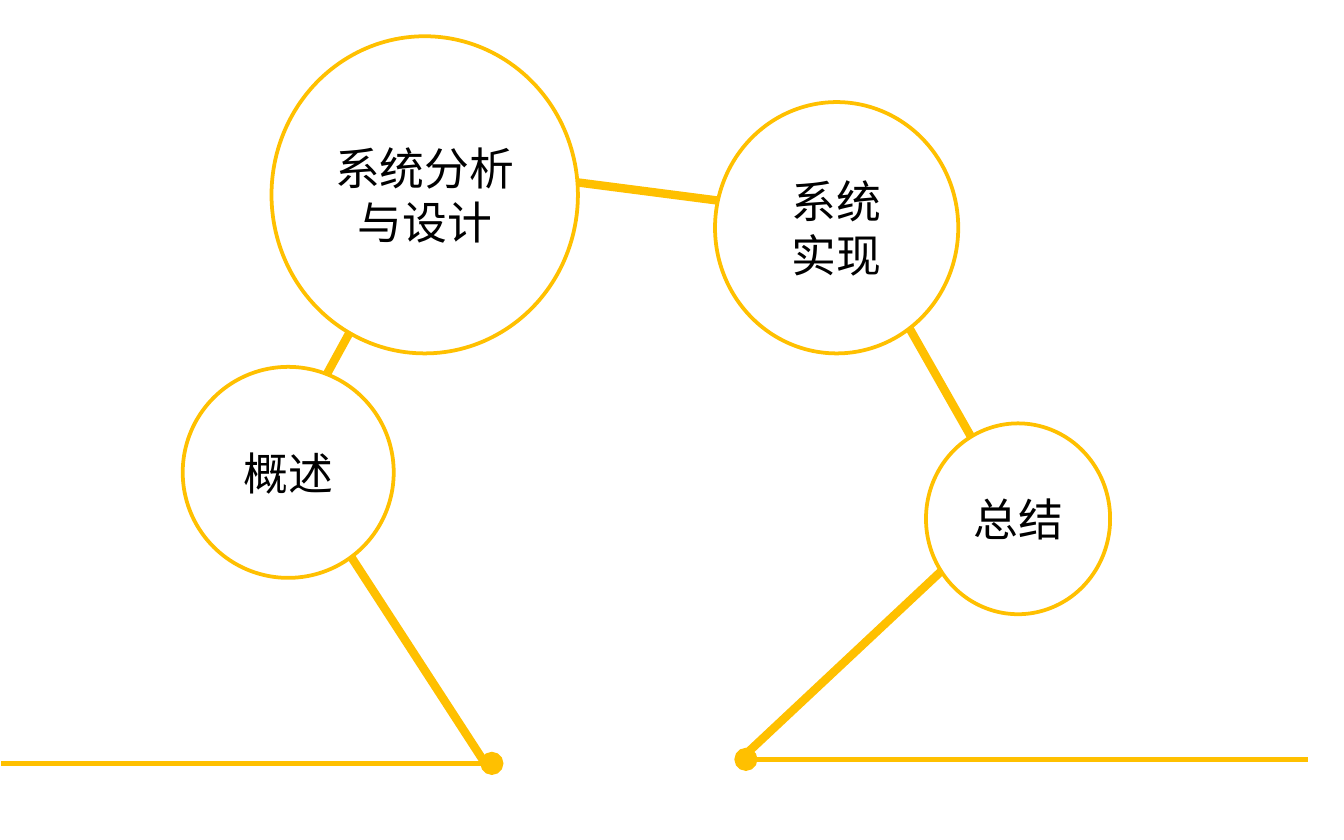
import pptx
import pptx.util
import pptx.dml.color
import pptx.enum.shapes
import pptx.enum.text
import pptx.oxml.ns
from lxml import etree

COLORS = {"gold": "FFC000", "paper": "FFFFFF", "ink": "000000"}
FONT = "Noto Sans CJK SC"
qn = pptx.oxml.ns.qn


def rgb(name):
    return pptx.dml.color.RGBColor.from_string(COLORS[name])


deck = pptx.Presentation()
deck.slide_width = pptx.util.Inches(10)
deck.slide_height = pptx.util.Inches(6.25)
slide = deck.slides.add_slide(deck.slide_layouts[6])

# Grid: 100 columns by 100 rows
column = deck.slide_width / 100
row = deck.slide_height / 100


def on_grid(x, y):
    return round(x * column), round(y * row)


# Path: start, end, width, ends that carry a dot
path_segments = [
    ((0.1, 90.88), (36.6, 90.88), 2.5, ["tailEnd"]),
    ((55.5, 90.4), (97.3, 90.4), 2.5, ["headEnd"]),
    ((21.7, 55.36), (36.1, 90.88), 4.5, ["headEnd"]),
    ((21.6, 52.48), (31.9, 22.4), 4.5, ["headEnd", "tailEnd"]),
    ((33.9, 19.84), (62.5, 25.76), 4.5, ["headEnd", "tailEnd"]),
    ((62.6, 24.8), (76, 62.56), 4.5, []),
    ((77.4, 56.96), (55.2, 90.24), 4.5, []),
]
for start, end, width, dots in path_segments:
    segment = slide.shapes.add_connector(
        pptx.enum.shapes.MSO_CONNECTOR.STRAIGHT, *on_grid(*start), *on_grid(*end))
    segment.line.color.rgb = rgb("gold")
    segment.line.width = pptx.util.Pt(width)
    properties = segment._element.spPr
    for dot in dots:
        etree.SubElement(properties.find(qn("a:ln")), qn("a:" + dot),
                         type="oval", w="lg", len="lg")
    etree.SubElement(properties, qn("a:effectLst"))

# Chapters: left, top, width, height, paragraphs
chapters = [
    (20.2, 4.32, 22.8, 37.76, ["系统分析与设计"]),
    (53.2, 12.16, 18.1, 29.92, ["系统", "实现"]),
    (68.9, 50.4, 13.7, 22.72, ["总结"]),
    (13.6, 43.68, 15.7, 25.12, ["概述"]),
]
for left, top, width, height, paragraphs in chapters:
    chapter = slide.shapes.add_shape(
        pptx.enum.shapes.MSO_SHAPE.OVAL, *on_grid(left, top), *on_grid(width, height))
    chapter.shadow.inherit = False
    chapter.fill.solid()
    chapter.fill.fore_color.rgb = rgb("paper")
    chapter.line.color.rgb = rgb("gold")
    chapter.line.width = pptx.util.Pt(2)

    title = chapter.text_frame
    title.word_wrap = True
    title.vertical_anchor = pptx.enum.text.MSO_ANCHOR.MIDDLE
    for index, words in enumerate(paragraphs):
        paragraph = title.add_paragraph() if index else title.paragraphs[0]
        paragraph.alignment = pptx.enum.text.PP_ALIGN.CENTER
        run = paragraph.add_run()
        run.text = words
        run.font.size = pptx.util.Pt(24)
        run.font.name = FONT
        run.font.color.rgb = rgb("ink")
        # East Asian typeface
        etree.SubElement(run.font._element, qn("a:ea"), typeface=FONT)

deck.save("out.pptx")
